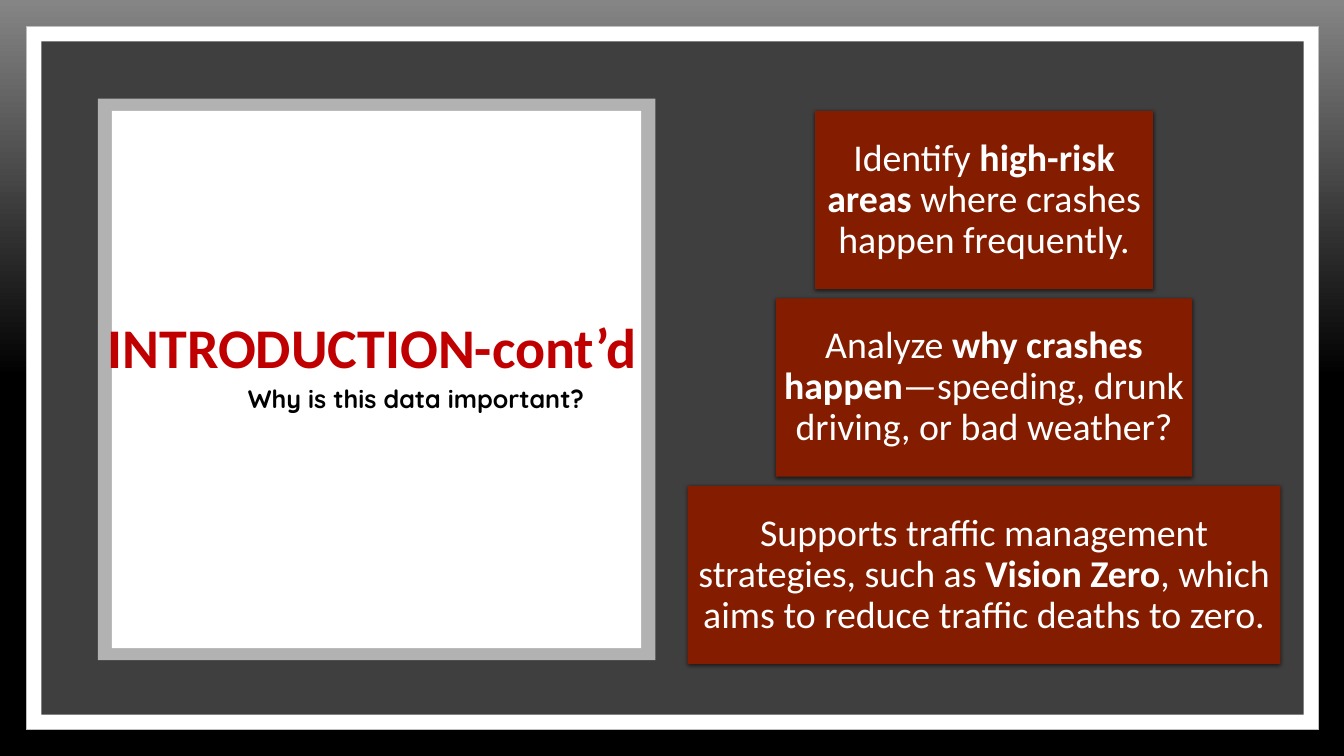
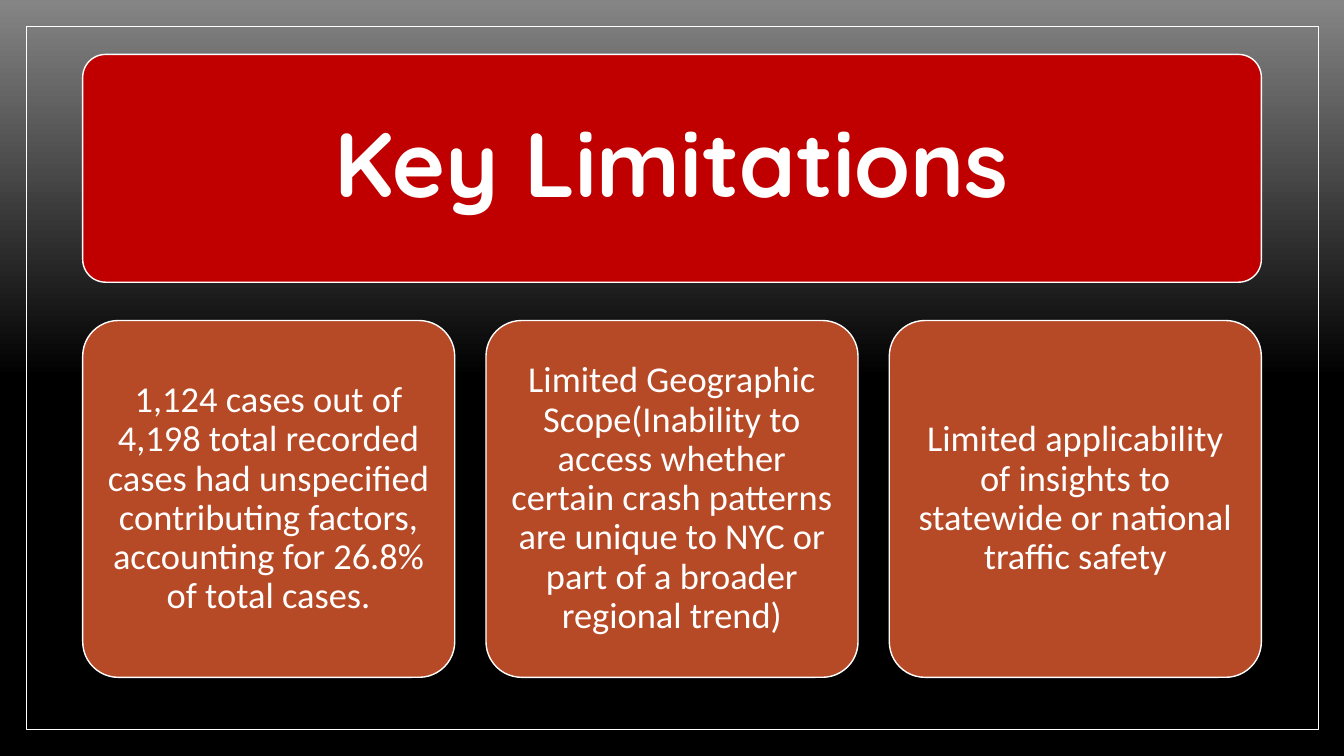
from copy import deepcopy

from lxml import etree
from pptx import Presentation
from pptx.dml.color import RGBColor
from pptx.enum import shapes, text
from pptx.oxml.ns import qn
from pptx.util import Inches, Pt

# Content: each item is a list of (text, bold) runs
INTRO_TITLE = [("INTRODUCTION-cont’d", True)]
INTRO_QUESTION = [("Why is this data important?", True)]
# Pyramid steps: width, runs
STEPS = [
    (3.35, [("Identify ", False), ("high-risk areas", True),
            (" where crashes happen frequently.", False)]),
    (4.13, [("Analyze ", False), ("why crashes happen", True),
            ("—speeding, drunk driving, or bad weather?", False)]),
    (5.88, [("Supports traffic management strategies, such as ", False),
            ("Vision Zero", True),
            (", which aims to reduce traffic deaths to zero.", False)]),
]
LIMITS_TITLE = [("Key Limitations", True)]
LIMITS = [
    "1,124 cases out of 4,198 total recorded cases had unspecified contributing "
    "factors, accounting for 26.8% of total cases.",
    "Limited Geographic Scope(Inability to access whether certain crash patterns "
    "are unique to NYC or part of a broader regional trend)",
    "Limited applicability of insights to statewide or national traffic safety",
]


class Theme:
    """Colours, fonts and type sizes."""
    white, black, red = "FFFFFF", "000000", "C00000"
    smoke, panel, mat, edge = "858585", "3F3F3F", "B2B2B2", "BFBFBF"
    step, card = "841C00", "B64926"
    body, display = "Calibri", "Quicksand"
    title, question, step_size, banner, card_size = 40, 18, 27, 65, 26


FRAME = (0.26, 0.26, 12.82, 6.98)
RECT = shapes.MSO_SHAPE.RECTANGLE
ROUND = shapes.MSO_SHAPE.ROUNDED_RECTANGLE
LEFT, CENTER, RIGHT = (text.PP_ALIGN.LEFT, text.PP_ALIGN.CENTER,
                       text.PP_ALIGN.RIGHT)


def rgb(color):
    return RGBColor.from_string(color)


def new_slide(prs):
    """Blank slide with the shared grey-to-black background."""
    s = prs.slides.add_slide(prs.slide_layouts[6])
    fill = s.background.fill
    fill.gradient()
    fill.gradient_angle = 270
    for stop, color, pos in zip(fill.gradient_stops,
                                (Theme.smoke, Theme.black), (0, 0.5)):
        stop.color.rgb = rgb(color)
        stop.position = pos
    stops = next(s._element.iter(qn("a:gsLst")))
    last = deepcopy(stops[-1])
    last.set("pos", "100000")
    stops.append(last)
    return s


def add_box(s, at, fill=None, line=None, width=0.5, kind=RECT):
    sp = s.shapes.add_shape(kind, *map(Inches, at))
    sp.shadow.inherit = False
    if kind == ROUND:
        sp.adjustments[0] = 0.1
    if fill:
        sp.fill.solid()
        sp.fill.fore_color.rgb = rgb(fill)
    else:
        sp.fill.background()
    if line:
        sp.line.color.rgb = rgb(line)
        sp.line.width = Pt(width)
    else:
        sp.line.fill.background()
    return sp


def add_shadow(sp):
    effects = sp._element.spPr.find(qn("a:effectLst"))
    shadow = etree.SubElement(effects, qn("a:outerShdw"), blurRad=str(Pt(3)),
                              dist=str(Pt(1)), dir="5400000", rotWithShape="0")
    color = etree.SubElement(shadow, qn("a:srgbClr"), val=Theme.black)
    etree.SubElement(color, qn("a:alpha"), val="63000")


def write(sp, runs, size, font=Theme.body, color=Theme.white, align=CENTER,
          inset=None, spacing=0.9, anchor=text.MSO_ANCHOR.MIDDLE):
    tf = sp.text_frame
    tf.word_wrap = True
    tf.vertical_anchor = anchor
    if inset is not None:
        tf.margin_left = tf.margin_right = Inches(inset)
        tf.margin_top = tf.margin_bottom = Inches(inset)
    p = tf.paragraphs[0]
    p.alignment = align
    p.line_spacing = spacing
    p.font.size, p.font.name = Pt(size), font
    p.font.color.rgb = rgb(color)
    for words, bold in runs:
        r = p.add_run()
        r.text = words
        r.font.bold = bold


def add_text(s, at, runs, size, **style):
    write(s.shapes.add_textbox(*map(Inches, at)), runs, size, **style)


def build_intro(prs):
    s = new_slide(prs)
    # Frame and title card
    add_box(s, FRAME, Theme.white, Theme.edge)
    add_box(s, (0.41, 0.41, 12.52, 6.68), Theme.panel)
    add_box(s, (0.97, 0.98, 5.53, 5.57), Theme.mat)
    add_box(s, (1.11, 1.1, 5.25, 5.33), Theme.white)
    # Pyramid of steps, centred on one axis
    axis, top, height, pitch = 9.76, 1.1, 1.77, 1.86
    for i, (width, runs) in enumerate(STEPS):
        sp = add_box(s, (axis - width / 2, top + i * pitch, width, height),
                     Theme.step)
        add_shadow(sp)
        write(sp, runs, Theme.step_size, inset=0.07)
    # Title and question
    add_text(s, (0.97, 3, 5.88, 0.95), INTRO_TITLE, Theme.title,
             color=Theme.red, align=LEFT)
    add_text(s, (1.3, 3.75, 4.59, 0.4), INTRO_QUESTION, Theme.question,
             font=Theme.display, color=Theme.black, align=RIGHT, spacing=1,
             anchor=text.MSO_ANCHOR.TOP)


def build_limits(prs):
    s = new_slide(prs)
    add_box(s, FRAME, line=Theme.white)
    # Banner
    left, width, gap = 0.82, 11.69, 0.31
    sp = add_box(s, (left, 0.54, width, 2.26), Theme.red, Theme.white, 1, ROUND)
    write(sp, LIMITS_TITLE, Theme.banner, font=Theme.display, inset=0.27)
    # Equal cards under the banner
    card = (width - gap * (len(LIMITS) - 1)) / len(LIMITS)
    for i, words in enumerate(LIMITS):
        sp = add_box(s, (left + i * (card + gap), 3.18, card, 3.54),
                     Theme.card, Theme.white, 1, ROUND)
        write(sp, [(words, False)], Theme.card_size, inset=0.11)


def main():
    prs = Presentation()
    prs.slide_width, prs.slide_height = Inches(13.33), Inches(7.5)
    build_intro(prs)
    build_limits(prs)
    prs.save("out.pptx")


if __name__ == "__main__":
    main()
